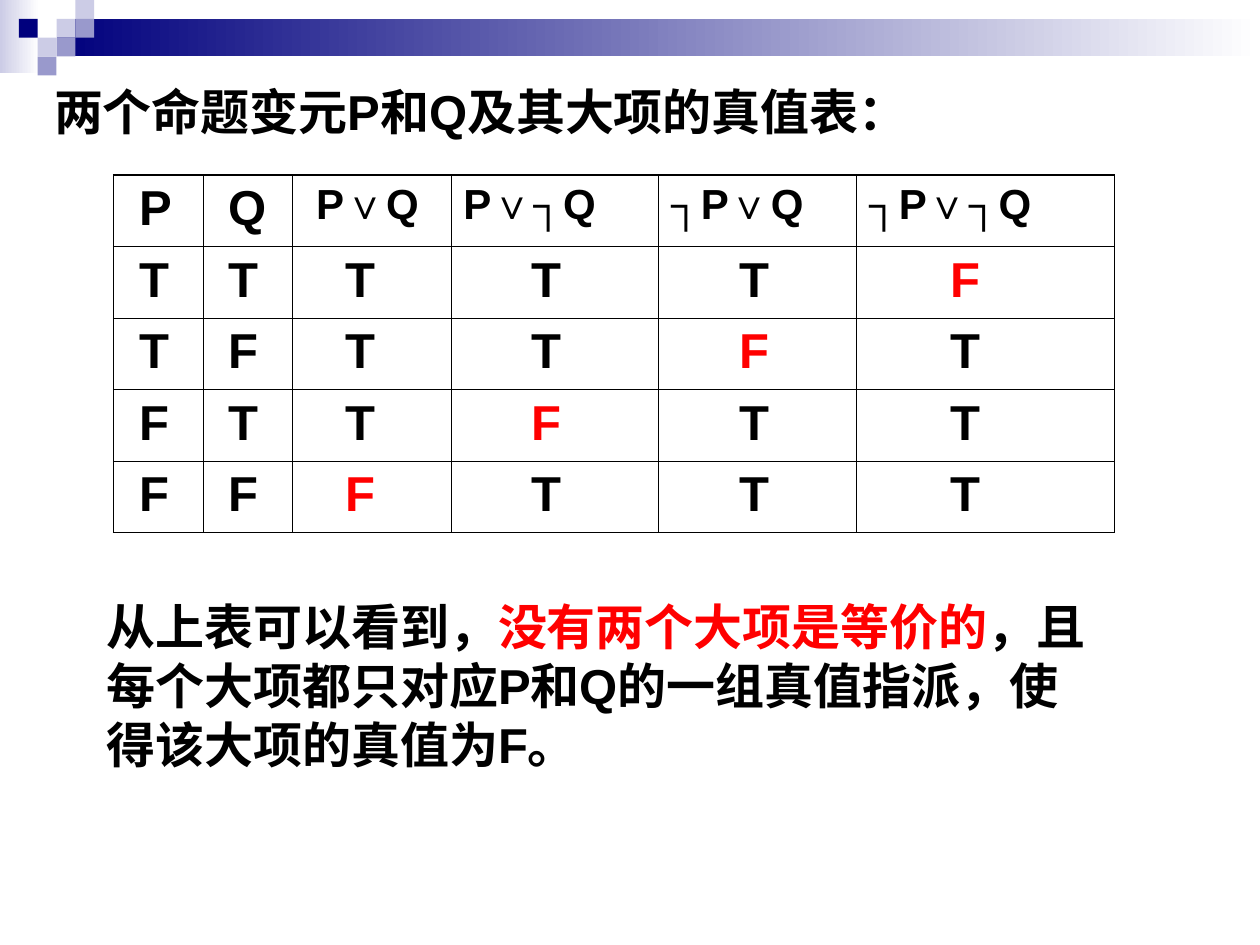
from lxml import etree
from pptx import Presentation
from pptx.dml.color import RGBColor
from pptx.enum.shapes import MSO_SHAPE
from pptx.enum.text import MSO_AUTO_SIZE
from pptx.oxml.ns import qn
from pptx.util import Cm, Pt

RECTANGLE = MSO_SHAPE.RECTANGLE
GROW = MSO_AUTO_SIZE.SHAPE_TO_FIT_TEXT

COLORS = {
    "navy": "00007D",
    "lavender": "CCCCE6",
    "periwinkle": "9999CC",
    "white": "FFFFFF",
    "black": "000000",
    "red": "FF0000",
}
FONT = "Arial"
INSET = 0.25
SPACE_WIDTH = 0.278 * 2.54 / 72
THICK, THIN = 1.08, 0.45

HEADINGS = ["P", "Q", "P∨Q", "P∨┐Q", "┐P∨Q", "┐P∨┐Q"]
HEADING_SIZES = [28, 28, 24, 24, 24, 24]
HEADING_INDENTS = [1, 1, 1, 0, 0, 0]
TRUTH_ROWS = ["TTTTTF", "TFTTFT", "FTTFTT", "FFFTTT"]
VALUE_INDENTS = [1, 1, 3, 5, 5, 6]
COLUMN_WIDTHS = [1.8, 1.8, 3.2, 4.19, 3.99, 5.2]


def rgb(name):
    return RGBColor.from_string(COLORS[name])


def write(paragraph, text, size=28, color="black", bold=True):
    run = paragraph.add_run()
    run.text = text
    run.font.name = FONT
    run.font.size = Pt(size)
    run.font.bold = bold
    run.font.color.rgb = rgb(color)


def add_block(slide, left, top, width, height, color, fade_to=None):
    block = slide.shapes.add_shape(RECTANGLE, Cm(left), Cm(top), Cm(width), Cm(height))
    block.shadow.inherit = False
    block.line.fill.background()
    if fade_to:
        block.fill.gradient()
        block.fill.gradient_angle = 0
        for stop, name in zip(block.fill.gradient_stops, (color, fade_to)):
            stop.color.rgb = rgb(name)
    else:
        block.fill.solid()
        block.fill.fore_color.rgb = rgb(color)


def add_banner(slide, left, top, width, unit):
    add_block(slide, left, top, 0.79, 1.47, "lavender", "white")
    bar_offset = 3 * unit
    add_block(slide, left + bar_offset, top + unit, width - bar_offset, 2 * unit, "navy", "white")
    mosaic = [
        (3, 1, "lavender"),
        (4, 0, "lavender"),
        (4, 1, "periwinkle"),
        (2, 2, "lavender"),
        (1, 1, "navy"),
        (3, 2, "periwinkle"),
        (2, 3, "periwinkle"),
    ]
    for column, row, color in mosaic:
        add_block(slide, left + column * unit, top + row * unit, unit, unit, color)


def add_passage(slide, left, top, width, height, pieces, grow=False):
    frame = slide.shapes.add_textbox(Cm(left), Cm(top), Cm(width), Cm(height)).text_frame
    frame.word_wrap = True
    if grow:
        frame.auto_size = GROW
    for text, color in pieces:
        write(frame.paragraphs[0], text, color=color)


def set_border(cell, side, width):
    properties = cell._tc.get_or_add_tcPr()
    line = etree.SubElement(properties, qn(f"a:ln{side}"), w=str(Pt(width)))
    fill = etree.SubElement(line, qn("a:solidFill"))
    etree.SubElement(fill, qn("a:srgbClr"), val=COLORS["black"])


def fill_cell(cell, text, indent, size, color, edges):
    for side in "LRTB":
        set_border(cell, side, THICK if side in edges else THIN)
    cell.fill.background()
    cell.margin_left = Cm(INSET + indent * size * SPACE_WIDTH)
    write(cell.text_frame.paragraphs[0], text, size=size, color=color)


def add_truth_table(slide, left, top, width, height):
    row_count, column_count = len(TRUTH_ROWS) + 1, len(HEADINGS)
    table = slide.shapes.add_table(
        row_count, column_count, Cm(left), Cm(top), Cm(width), Cm(height)
    ).table
    table.first_row = False
    table.horz_banding = False
    for column, column_width in zip(table.columns, COLUMN_WIDTHS):
        column.width = Cm(column_width)
    for r, values in enumerate([HEADINGS, *TRUTH_ROWS]):
        table.rows[r].height = Cm(height / row_count)
        for c, value in enumerate(values):
            outer = {"T": r == 0, "B": r == row_count - 1, "L": c == 0, "R": c == column_count - 1}
            edges = [side for side, is_outer in outer.items() if is_outer]
            is_false_term = c > 1 and value == "F"
            fill_cell(
                table.cell(r, c),
                value,
                indent=(VALUE_INDENTS if r else HEADING_INDENTS)[c],
                size=28 if r else HEADING_SIZES[c],
                color="red" if is_false_term else "black",
                edges=edges,
            )


def main():
    deck = Presentation()
    deck.slide_width, deck.slide_height = Cm(25.4), Cm(19.05)
    slide = deck.slides.add_slide(deck.slide_layouts[6])
    add_banner(slide, 0, 0, 25.4, 0.38)
    add_passage(slide, 0.84, 1.52, 23.85, 1.8, [("两个命题变元P和Q及其大项的真值表：", "black")])
    add_truth_table(slide, 2.29, 3.53, sum(COLUMN_WIDTHS), 7.2)
    conclusion = [
        ("从上表可以看到，", "black"),
        ("没有两个大项是等价的", "red"),
        ("，且每个大项都只对应P和Q的一组真值指派，使得该大项的真值为F。", "black"),
    ]
    add_passage(slide, 1.9, 11.91, 20.6, 3.81, conclusion, grow=True)
    deck.save("out.pptx")


if __name__ == "__main__":
    main()
